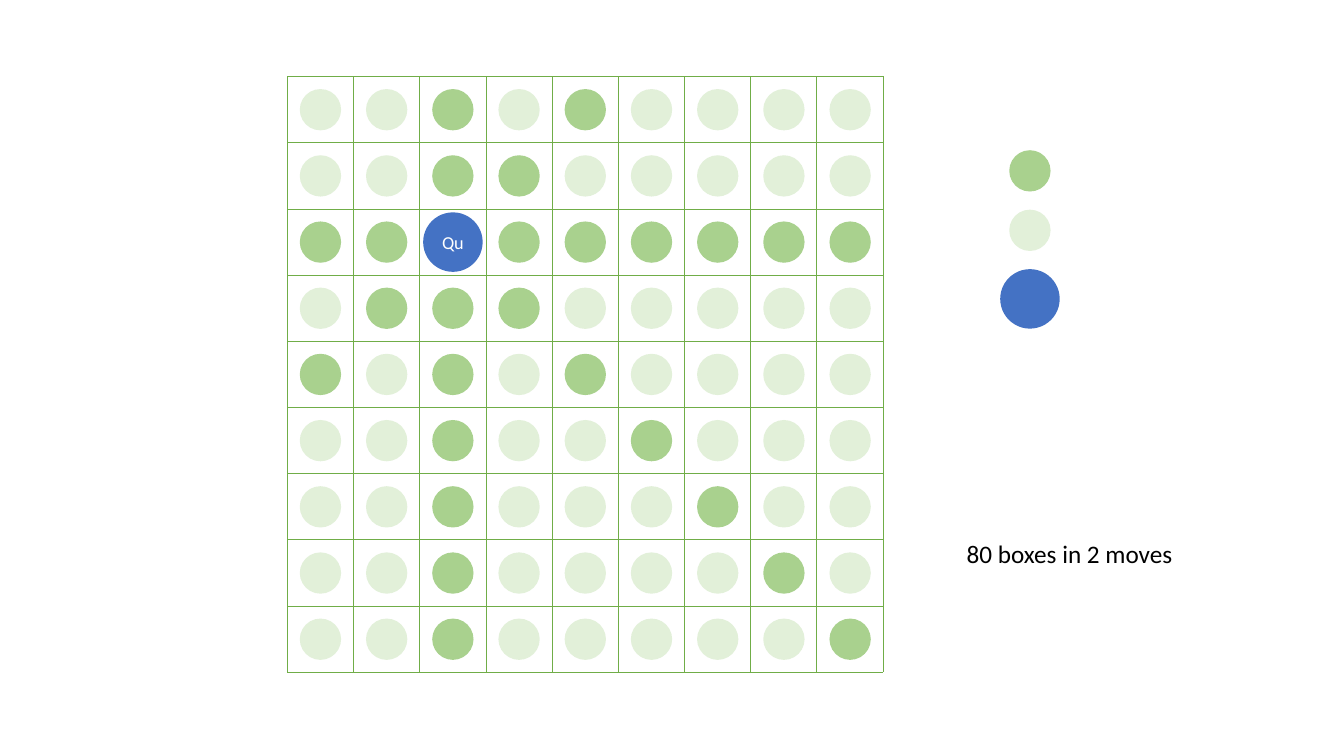
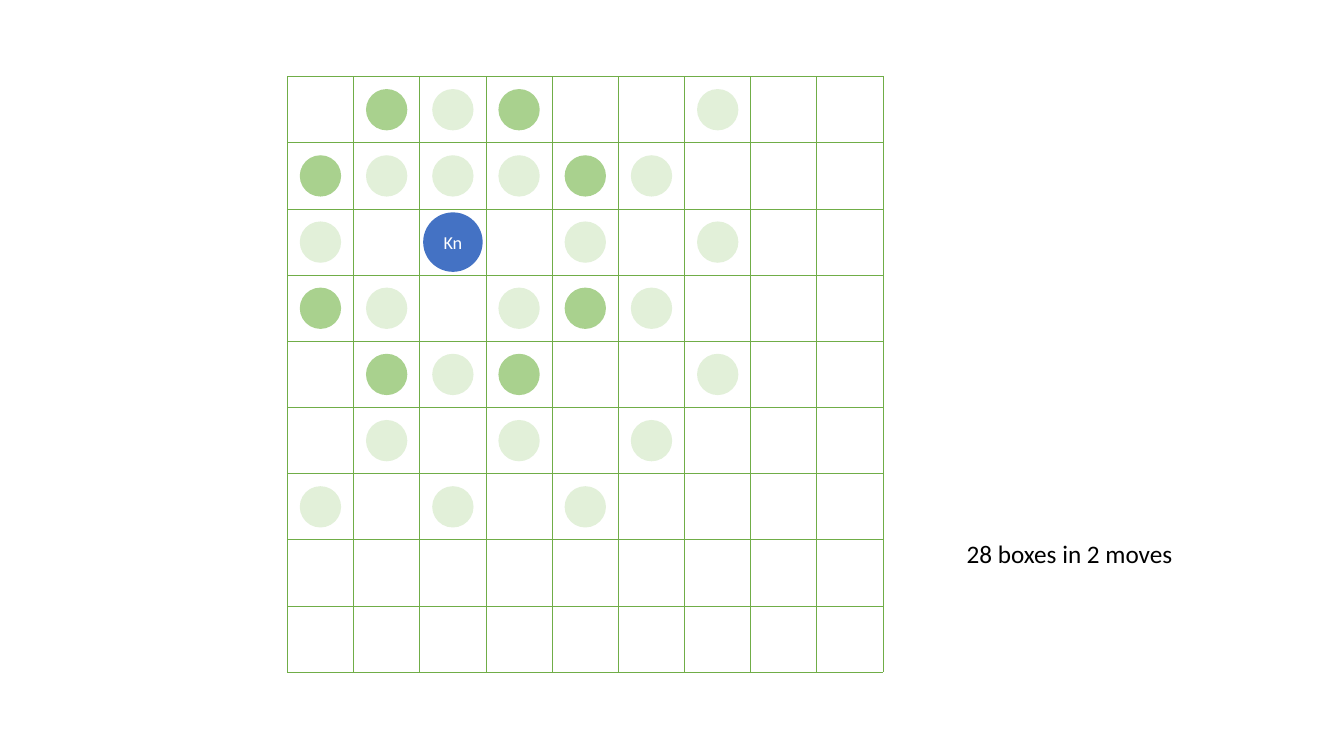
from dataclasses import dataclass

from lxml.etree import SubElement
from pptx import Presentation
from pptx.dml.color import RGBColor
from pptx.enum.shapes import MSO_SHAPE as Preset
from pptx.enum.text import MSO_ANCHOR as Anchor, MSO_AUTO_SIZE as AutoSize, PP_ALIGN as Align
from pptx.oxml.ns import qn
from pptx.util import Inches, Pt


@dataclass(frozen=True)
class Theme:
    """Colours, type and sizes (inches) shared by both slides."""
    piece: str = "4472C4"
    first_move: str = "A9D18E"
    second_move: str = "E2F0D9"
    grid: str = "70AD47"
    ink: str = "000000"
    paper: str = "FFFFFF"
    font: str = "Calibri"
    label_size: float = 13
    caption_size: float = 18
    grid_width: float = 0.5
    piece_size: float = 0.59
    dot_size: float = 0.41


@dataclass(frozen=True)
class Box:
    """A rectangle in inches that can be divided into grid cells."""
    left: float
    top: float
    width: float
    height: float

    def cell(self, column, row, columns, rows):
        """Return one cell of an even grid laid over the box."""
        width, height = self.width / columns, self.height / rows
        return Box(self.left + column * width, self.top + row * height, width, height)

    def centred(self, size):
        """Return a square of the given size at the middle of the box."""
        return Box(self.left + (self.width - size) / 2,
                   self.top + (self.height - size) / 2, size, size)

    def lengths(self):
        """Return the box as python-pptx lengths."""
        return [Inches(value) for value in (self.left, self.top, self.width, self.height)]


THEME = Theme()
PAGE = Box(0, 0, 13.33, 7.5)
BOARD = Box(2.85, 0.76, 5.91, 5.91)
LEGEND = Box(9.92, 1.49, THEME.piece_size, 1.77)
CAPTION = Box(9.49, 5.29, 2.27, 0.4)
SQUARES = 9

# X: reached in one move, o: reached in two, P: the piece, dot: not reached
QUEEN_MOVES = """
ooXoXoooo
ooXXooooo
XXPXXXXXX
oXXXooooo
XoXoXoooo
ooXooXooo
ooXoooXoo
ooXooooXo
ooXoooooX
""".split()
KNIGHT_MOVES = """
.XoX..o..
XoooXo...
o.P.o.o..
Xo.oXo...
.XoX..o..
.o.o.o...
o.o.o....
.........
.........
""".split()
MARKERS = {
    "X": (THEME.dot_size, THEME.first_move),
    "o": (THEME.dot_size, THEME.second_move),
    "P": (THEME.piece_size, THEME.piece),
}


def write_text(frame, text, size, colour, align=Align.LEFT, anchor=Anchor.TOP):
    """Write one formatted line into a text frame without wrapping."""
    frame.word_wrap = False
    frame.vertical_anchor = anchor
    para = frame.paragraphs[0]
    para.alignment = align
    span = para.add_run()
    span.text = text
    span.font.name = THEME.font
    span.font.size = Pt(size)
    span.font.color.rgb = RGBColor.from_string(colour)


def add_marker(page, box, kind, label=""):
    """Draw a move dot or the piece at the middle of a box."""
    size, colour = MARKERS[kind]
    marker = page.shapes.add_shape(Preset.OVAL, *box.centred(size).lengths())
    marker.shadow.inherit = False
    marker.fill.solid()
    marker.fill.fore_color.rgb = RGBColor.from_string(colour)
    marker.line.fill.background()
    if label:
        write_text(marker.text_frame, label, THEME.label_size, THEME.paper,
                   align=Align.CENTER, anchor=Anchor.MIDDLE)


def outline_cell(cell):
    """Give a table cell a thin line on every side and no fill."""
    properties = cell._tc.get_or_add_tcPr()
    for side in ("a:lnL", "a:lnR", "a:lnT", "a:lnB"):
        line = SubElement(properties, qn(side), w=str(Pt(THEME.grid_width)))
        fill = SubElement(line, qn("a:solidFill"))
        SubElement(fill, qn("a:srgbClr"), val=THEME.grid)
    cell.fill.background()


def add_board(page, box, moves, label):
    """Draw the square grid and the markers of a move map."""
    table = page.shapes.add_table(SQUARES, SQUARES, *box.lengths()).table
    table.first_row = table.horz_banding = False
    for cell in table.iter_cells():
        outline_cell(cell)
    for row, line in enumerate(moves):
        for column, kind in enumerate(line):
            if kind in MARKERS:
                add_marker(page, box.cell(column, row, SQUARES, SQUARES), kind,
                           label=label if kind == "P" else "")


def add_legend(page, box):
    """Stack one marker of each kind, evenly spaced down the box."""
    gap = (box.height - sum(size for size, _ in MARKERS.values())) / (len(MARKERS) - 1)
    top = box.top
    for kind, (size, _) in MARKERS.items():
        add_marker(page, Box(box.left, top, box.width, size), kind)
        top += size + gap


def add_caption(page, box, text):
    """Write the result beside the board."""
    frame = page.shapes.add_textbox(*box.lengths()).text_frame
    frame.auto_size = AutoSize.SHAPE_TO_FIT_TEXT
    write_text(frame, text, THEME.caption_size, THEME.ink)


def add_move_slide(deck, moves, label, caption, legend=False):
    """Build a slide that shows how far a piece gets in two moves."""
    page = deck.slides.add_slide(deck.slide_layouts[6])
    add_board(page, BOARD, moves, label)
    if legend:
        add_legend(page, LEGEND)
    add_caption(page, CAPTION, caption)


def main():
    """Build and save the deck."""
    deck = Presentation()
    deck.slide_width, deck.slide_height = Inches(PAGE.width), Inches(PAGE.height)
    add_move_slide(deck, QUEEN_MOVES, "Qu", "80 boxes in 2 moves", legend=True)
    add_move_slide(deck, KNIGHT_MOVES, "Kn", "28 boxes in 2 moves")
    deck.save("out.pptx")


main()
